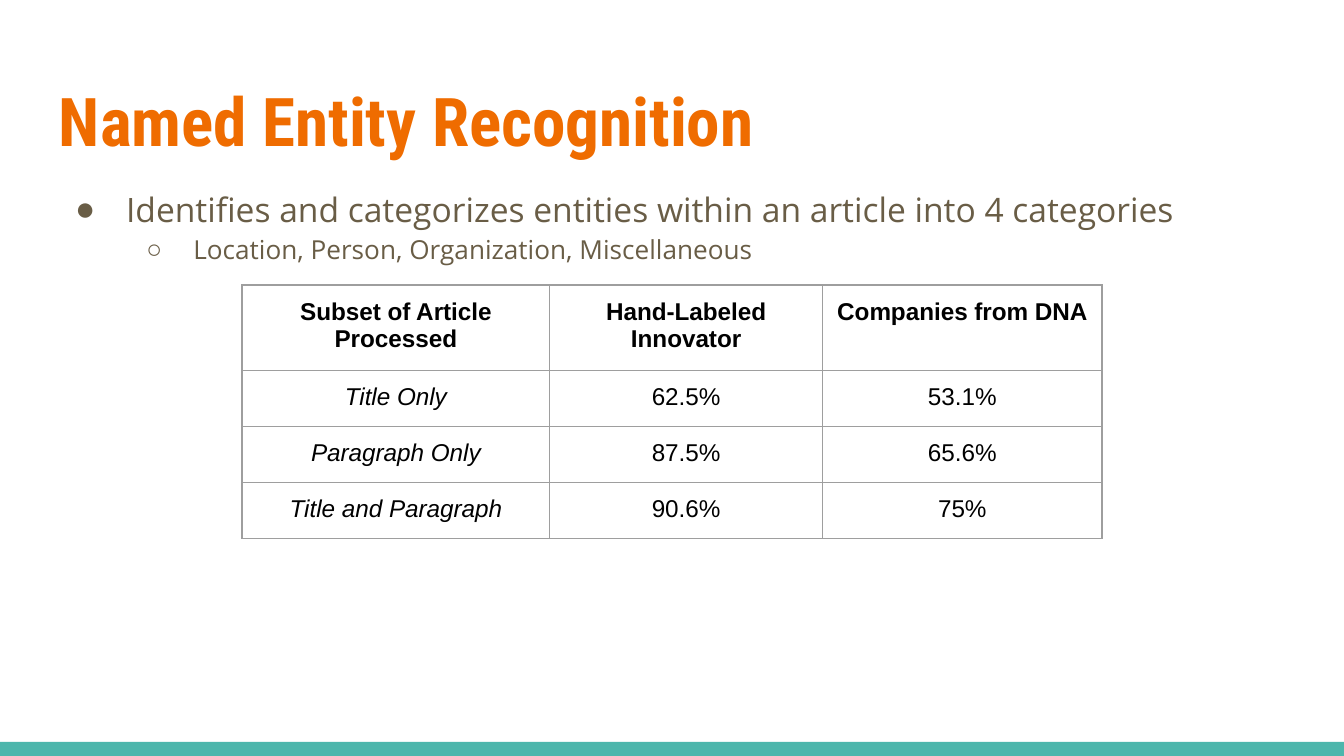
from lxml import etree
from pptx import Presentation
from pptx.dml.color import RGBColor
from pptx.enum.shapes import MSO_SHAPE
from pptx.enum.text import MSO_ANCHOR, PP_ALIGN
from pptx.oxml.ns import qn
from pptx.util import Inches, Pt

RECT = MSO_SHAPE.RECTANGLE
TOP = MSO_ANCHOR.TOP
CENTER = PP_ALIGN.CENTER
TEAL, ORANGE, BROWN, BLACK, GREY = "4DB6AC", "EF6C00", "695D46", "000000", "9E9E9E"
MARGINS = ("margin_left", "margin_top", "margin_right", "margin_bottom")


def rgb(value):
    return RGBColor.from_string(value)


def add_text(p, text, color, **font):
    r = p.add_run()
    r.text = text
    r.font.color.rgb = rgb(color)
    for name, value in font.items():
        setattr(r.font, name, value)


# Widescreen 16:9 slide
prs = Presentation()
prs.slide_width = Inches(10)
prs.slide_height = prs.slide_width * 9 // 16
s = prs.slides.add_slide(prs.slide_layouts[6])

# Bottom band
band = s.shapes.add_shape(RECT, 0, Inches(5.52), Inches(10), Inches(0.11))
band.shadow.inherit = False
band.fill.solid()
band.fill.fore_color.rgb = rgb(TEAL)
band.line.fill.background()

# Title and body boxes
frames = []
for top, height in ((0.49, 0.77), (1.26, 3.61)):
    sp = s.shapes.add_textbox(Inches(0.34), Inches(top), Inches(9.32), Inches(height))
    tf = sp.text_frame
    tf.word_wrap = True
    tf.vertical_anchor = TOP
    for side in MARGINS:
        setattr(tf, side, Inches(0.1))
    frames.append(tf)
title, body = frames
add_text(title.paragraphs[0], "Named Entity Recognition", ORANGE,
         name="Roboto Condensed", size=Pt(36), bold=True)

# Bulleted list: text, size, left margin, hanging indent, bullet
bullets = [
    ("Identifies and categorizes entities within an article into 4 categories", 18, 0.5, -0.38, "●"),
    ("Location, Person, Organization, Miscellaneous", 14, 1, -0.35, "○"),
]
for level, (text, size, left, indent, mark) in enumerate(bullets):
    p = body.add_paragraph() if level else body.paragraphs[0]
    p.level = level
    p.line_spacing = 1.15
    pPr = p._p.get_or_add_pPr()
    pPr.set("marL", str(Inches(left)))
    pPr.set("indent", str(Inches(indent)))
    color = etree.SubElement(pPr, qn("a:buClr"))
    etree.SubElement(color, qn("a:srgbClr"), val=BROWN)
    etree.SubElement(pPr, qn("a:buFont"), typeface="Arial")
    etree.SubElement(pPr, qn("a:buChar"), char=mark)
    add_text(p, text, BROWN, name="Open Sans", size=Pt(size))

# Results table; rows grow to fit their text
rows = [
    ("Subset of Article Processed", "Hand-Labeled Innovator", "Companies from DNA"),
    ("Title Only", "62.5%", "53.1%"),
    ("Paragraph Only", "87.5%", "65.6%"),
    ("Title and Paragraph", "90.6%", "75%"),
]
widths = (2.29, 2.03, 2.08)
row_height = 0.26
table = s.shapes.add_table(len(rows), len(widths), Inches(1.8), Inches(2.12),
                           Inches(sum(widths)), Inches(row_height * len(rows))).table
table.first_row = table.horz_banding = False
for column, width in zip(table.columns, widths):
    column.width = Inches(width)
for i, row in enumerate(rows):
    table.rows[i].height = Inches(row_height)
    for j, text in enumerate(row):
        cell = table.cell(i, j)
        for side in MARGINS:
            setattr(cell, side, Inches(0.1))
        tcPr = cell._tc.get_or_add_tcPr()
        for edge in ("a:lnL", "a:lnR", "a:lnT", "a:lnB"):
            ln = etree.SubElement(tcPr, qn(edge), w=str(Pt(0.75)))
            fill = etree.SubElement(ln, qn("a:solidFill"))
            etree.SubElement(fill, qn("a:srgbClr"), val=GREY)
        cell.fill.background()
        p = cell.text_frame.paragraphs[0]
        p.alignment = CENTER
        add_text(p, text, BLACK, name="Arial", size=Pt(13),
                 bold=i == 0, italic=i > 0 and j == 0)

prs.save("out.pptx")
